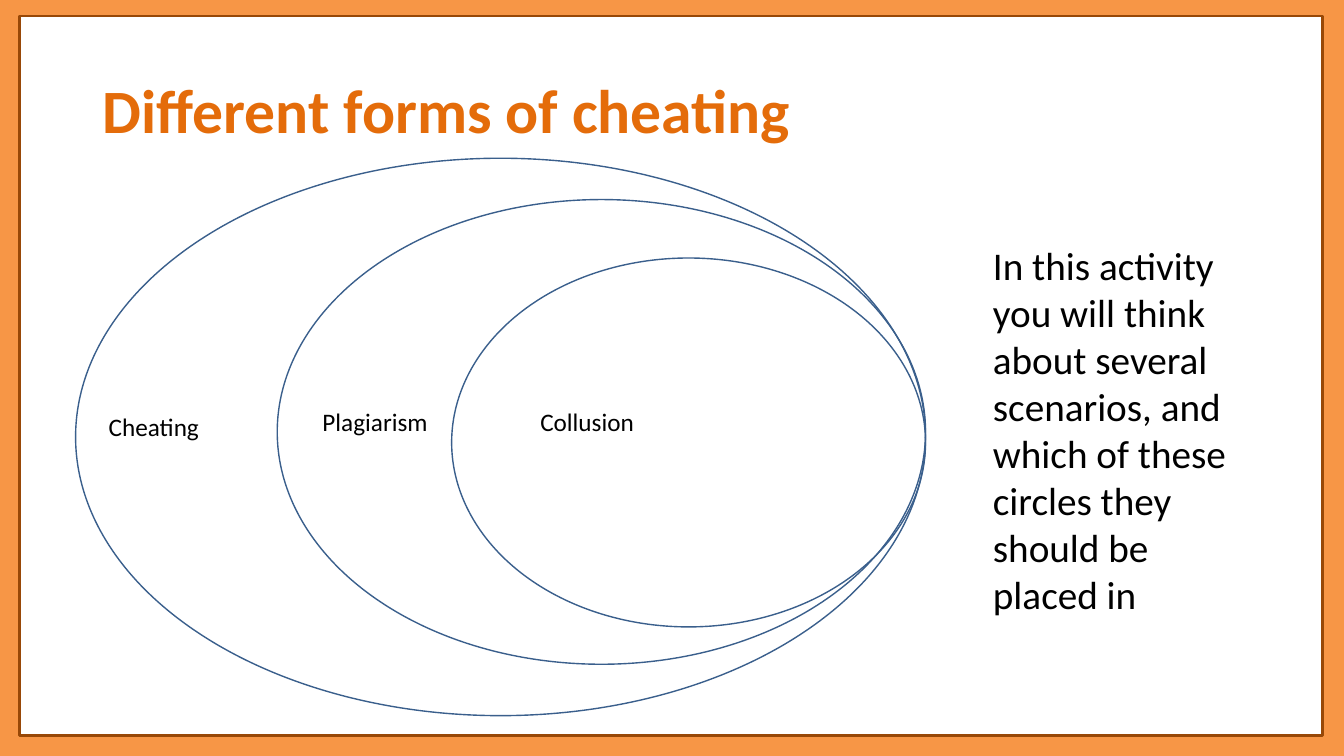
from pptx import Presentation
from pptx.dml.color import RGBColor
from pptx.enum.shapes import MSO_SHAPE
from pptx.enum.text import MSO_ANCHOR
from pptx.util import Inches, Pt

RECTANGLE = MSO_SHAPE.RECTANGLE
OVAL = MSO_SHAPE.OVAL
TOP = MSO_ANCHOR.TOP
MIDDLE = MSO_ANCHOR.MIDDLE


def color(value):
    return RGBColor.from_string(value)


def add_text(page, text, left, top, width, height, size=18, ink="000000",
             bold=False, anchor=TOP, line_spacing=None):
    box = page.shapes.add_textbox(Inches(left), Inches(top), Inches(width), Inches(height))
    frame = box.text_frame
    frame.word_wrap = True
    frame.vertical_anchor = anchor
    para = frame.paragraphs[0]
    para.line_spacing = line_spacing
    span = para.add_run()
    span.text = text
    span.font.name = "Calibri"
    span.font.size = Pt(size)
    span.font.bold = bold
    span.font.color.rgb = color(ink)


deck = Presentation()
deck.slide_width = Inches(13.33)
deck.slide_height = Inches(7.5)
page = deck.slides.add_slide(deck.slide_layouts[6])
page.background.fill.solid()
page.background.fill.fore_color.rgb = color("F79646")

panel = page.shapes.add_shape(RECTANGLE, Inches(0.19), Inches(0.16), Inches(12.93), Inches(7.14))
panel.shadow.inherit = False
panel.fill.solid()
panel.fill.fore_color.rgb = color("FFFFFF")
panel.line.color.rgb = color("984807")
panel.line.width = Pt(2)

add_text(page, "Different forms of cheating", 0.92, 0.4, 11.5, 1.45,
         size=44, ink="E46C0A", bold=True, anchor=MIDDLE, line_spacing=0.9)

circles_right = 9.18
circles = [(0.75, 1.57, 5.53), (2.75, 1.98, 4.61), (4.48, 2.56, 3.66)]
for left, top, height in circles:
    circle = page.shapes.add_shape(
        OVAL, Inches(left), Inches(top), Inches(circles_right - left), Inches(height))
    circle.shadow.inherit = False
    circle.fill.background()
    circle.line.color.rgb = color("3A5F8C")
    circle.line.width = Pt(1)

labels = [("Cheating", 0.98, 4.03), ("Plagiarism", 3.1, 3.98), ("Collusion", 5.26, 3.98)]
for label, left, top in labels:
    add_text(page, label, left, top, 1.38, 0.4)

add_text(page, "In this activity you will think about several scenarios, and which of these "
         "circles they should be placed in", 9.75, 2.34, 2.83, 3.87, size=28)

deck.save("out.pptx")
